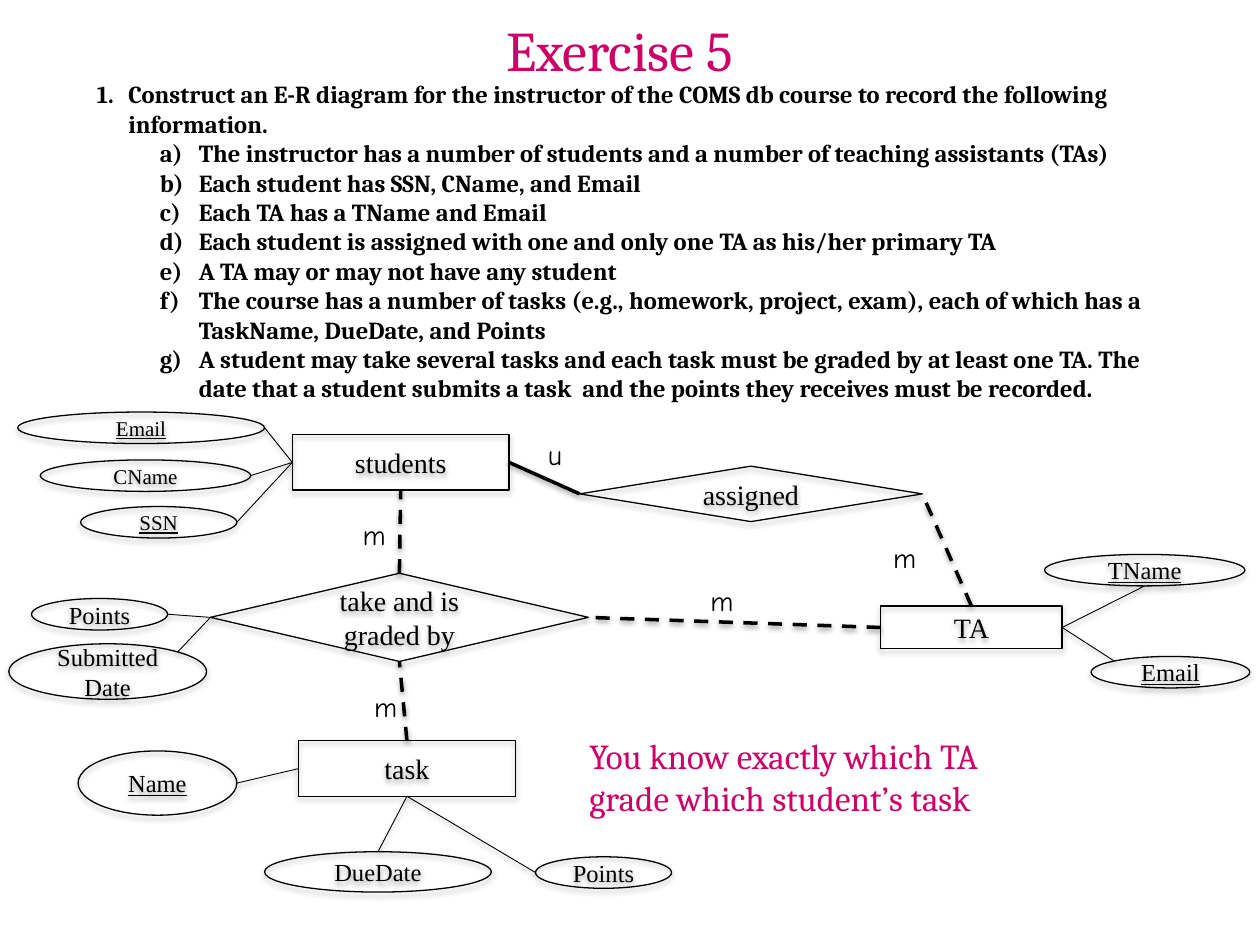
from typing import NamedTuple
from lxml import etree
from pptx import Presentation
from pptx import util as u
from pptx.dml.color import RGBColor
from pptx.enum import dml, shapes, text
from pptx.oxml import ns

COLORS = {"ink": "000000", "accent": "CC0066"}
COLS, ROWS = 10, 7.5
KINDS = {
    "entity": shapes.MSO_SHAPE.RECTANGLE,
    "relation": shapes.MSO_SHAPE.DIAMOND,
    "attribute": shapes.MSO_SHAPE.OVAL,
}
DIAG = 0.146
SITES = {
    "top": (0.5, 0), "bottom": (0.5, 1), "left": (0, 0.5), "right": (1, 0.5),
    "top_left": (DIAG, DIAG), "top_right": (1 - DIAG, DIAG),
}
FORMATS = {
    "node": {"name": "Times New Roman", "size": u.Pt(16)},
    "attribute": {"name": "Times New Roman", "size": u.Pt(14)},
    "small": {"name": "Times New Roman", "size": u.Pt(12)},
    "label": {"name": "Comic Neue", "size": u.Pt(16)},
    "list": {"name": "Cambria", "size": u.Pt(14), "bold": True},
    "title": {"name": "Cambria", "size": u.Pt(32)},
    "note": {"name": "Cambria", "size": u.Pt(20)},
}


class Box(NamedTuple):
    x: float
    y: float
    w: float
    h: float

    def site(self, name: str) -> tuple:
        fx, fy = SITES[name]
        return self.x + fx * self.w, self.y + fy * self.h


class Node(NamedTuple):
    kind: str
    words: str
    box: Box
    style: str = "node"
    key: bool = False


class Link(NamedTuple):
    start: str
    start_site: str
    end: str
    end_site: str
    width: float = 0.5
    dashed: bool = False


NODES = {
    "students": Node("entity", "students", Box(2.32, 3.45, 1.72, 0.44)),
    "ta": Node("entity", "TA", Box(6.99, 4.81, 1.44, 0.34)),
    "task": Node("entity", "task", Box(2.37, 5.88, 1.72, 0.44)),
    "graded": Node("relation", "take and is graded by", Box(1.67, 4.55, 3, 0.7)),
    "assigned": Node("relation", "assigned", Box(4.6, 3.7, 2.72, 0.44)),
    "email": Node("attribute", "Email", Box(0.14, 3.27, 1.96, 0.25), "small", True),
    "cname": Node("attribute", "CName", Box(0.32, 3.65, 1.67, 0.25), "small"),
    "ssn": Node("attribute", "SSN", Box(0.64, 4.02, 1.24, 0.25), "small", True),
    "tname": Node("attribute", "TName", Box(8.29, 4.4, 1.59, 0.25), "attribute", True),
    "ta_email": Node("attribute", "Email", Box(8.66, 5.21, 1.26, 0.25), "attribute", True),
    "due": Node("attribute", "DueDate", Box(2.1, 6.76, 1.8, 0.32), "attribute"),
    "submitted": Node("attribute", "Submitted\nDate", Box(0.07, 5.11, 1.57, 0.44), "attribute"),
    "received": Node("attribute", "Points", Box(0.25, 4.75, 1.08, 0.25), "attribute"),
    "name": Node("attribute", "Name", Box(0.62, 5.96, 1.26, 0.51), "attribute", True),
    "points": Node("attribute", "Points", Box(4.25, 6.8, 1.08, 0.25), "attribute"),
}
LINKS = [
    Link("students", "right", "assigned", "left", 2),
    Link("graded", "top", "students", "bottom", 2, True),
    Link("ta", "top", "assigned", "right", 2, True),
    Link("task", "top", "graded", "bottom", 2, True),
    Link("ta", "left", "graded", "right", 2, True),
    Link("students", "left", "email", "right"),
    Link("students", "left", "cname", "right"),
    Link("students", "left", "ssn", "right"),
    Link("ta", "right", "tname", "bottom"),
    Link("ta_email", "top_left", "ta", "right"),
    Link("task", "bottom", "due", "top"),
    Link("task", "bottom", "points", "left"),
    Link("task", "left", "name", "right"),
    Link("graded", "left", "submitted", "top_right"),
    Link("graded", "left", "received", "right"),
]
LABELS = [
    ("m", Box(6.99, 4.24, 0.38, 0.37)),
    ("m", Box(2.78, 4.06, 0.54, 0.37)),
    ("u", Box(4.25, 3.42, 0.54, 0.37)),
    ("m", Box(2.87, 5.42, 0.38, 0.37)),
    ("m", Box(5.54, 4.58, 0.38, 0.37)),
]
TASK = ("Construct an E-R diagram for the instructor of the COMS db course "
        "to record the following information. ")
RULES = [
    "The instructor has a number of students and a number of teaching assistants (TAs)",
    "Each student has SSN, CName, and Email",
    "Each TA has a TName and Email",
    "Each student is assigned with one and only one TA as his/her primary TA",
    "A TA may or may not have any student",
    "The course has a number of tasks (e.g., homework, project, exam), "
    "each of which has a TaskName, DueDate, and Points",
    "A student may take several tasks and each task must be graded by at least one TA. "
    "The date that a student submits a task  and the points they receives must be recorded.",
]

prs = Presentation()
prs.slide_width, prs.slide_height = u.Inches(COLS), u.Inches(ROWS)
slide = prs.slides.add_slide(prs.slide_layouts[6])


def place(*cells: float) -> list:
    steps = (prs.slide_width / COLS, prs.slide_height / ROWS)
    return [u.Emu(round(c * steps[i % 2])) for i, c in enumerate(cells)]


def add_shadow(sp, alpha: int, dist: float) -> None:
    effects = etree.SubElement(sp._element.spPr, ns.qn("a:effectLst"))
    shadow = etree.SubElement(
        effects, ns.qn("a:outerShdw"), blurRad=str(u.Pt(3.1)), dist=str(u.Pt(dist)),
        dir="5400000", rotWithShape="0")
    color = etree.SubElement(shadow, ns.qn("a:srgbClr"), val=COLORS["ink"])
    etree.SubElement(color, ns.qn("a:alpha"), val=str(alpha * 1000))


def write(tf, words: str, style: str, color: str = "ink", align=None, **extra) -> None:
    tf.word_wrap = True
    for i, line in enumerate(words.split("\n")):
        p = tf.add_paragraph() if i else tf.paragraphs[0]
        p.alignment = align
        r = p.add_run()
        r.text = line
        for attr, value in {**FORMATS[style], **extra}.items():
            setattr(r.font, attr, value)
        r.font.color.rgb = RGBColor.from_string(COLORS[color])


def number(p, scheme: str, level: int, margin: float, hang: float) -> None:
    p.level = level
    pPr = p._p.get_or_add_pPr()
    pPr.set("marL", str(u.Inches(margin)))
    pPr.set("indent", str(-u.Inches(hang)))
    etree.SubElement(pPr, ns.qn("a:buFont"), typeface="+mj-lt")
    etree.SubElement(pPr, ns.qn("a:buAutoNum"), type=scheme)


def add_text(words: str, box: Box, style: str, color: str = "ink", align=None, middle=False):
    tf = slide.shapes.add_textbox(*place(*box)).text_frame
    write(tf, words, style, color, align)
    if middle:
        tf.vertical_anchor = text.MSO_ANCHOR.MIDDLE
    else:
        tf.auto_size = text.MSO_AUTO_SIZE.SHAPE_TO_FIT_TEXT
    return tf


def add_node(node: Node) -> None:
    sp = slide.shapes.add_shape(KINDS[node.kind], *place(*node.box))
    sp.fill.background()
    sp.line.color.rgb = RGBColor.from_string(COLORS["ink"])
    sp.line.width = u.Pt(0.75)
    add_shadow(sp, 35, 1.8)
    sp.text_frame.vertical_anchor = text.MSO_ANCHOR.MIDDLE
    write(sp.text_frame, node.words, node.style, align=text.PP_ALIGN.CENTER,
          underline=node.key)


def add_link(link: Link) -> None:
    start = NODES[link.start].box.site(link.start_site)
    end = NODES[link.end].box.site(link.end_site)
    sp = slide.shapes.add_connector(shapes.MSO_CONNECTOR.STRAIGHT, *place(*start, *end))
    sp.line.color.rgb = RGBColor.from_string(COLORS["ink"])
    sp.line.width = u.Pt(link.width)
    if link.dashed:
        sp.line.dash_style = dml.MSO_LINE.DASH
    add_shadow(sp, 38, 1.6)


add_text("Exercise 5", Box(0.67, 0.17, 8.5, 0.44), "title", "accent",
         text.PP_ALIGN.CENTER, True)
tf = add_text("\n".join([TASK, *RULES]), Box(0.67, 0.58, 8.67, 2.69), "list")
number(tf.paragraphs[0], "arabicPeriod", 0, 0.25, 0.25)
for p in tf.paragraphs[1:]:
    number(p, "alphaLcParenR", 1, 0.81, 0.31)
for node in NODES.values():
    add_node(node)
for link in LINKS:
    add_link(link)
for words, box in LABELS:
    add_text(words, box, "label")
add_text("You know exactly which TA grade which student\u2019s task",
         Box(4.58, 5.75, 3.83, 0.83), "note", "accent", middle=True)

prs.save("out.pptx")
